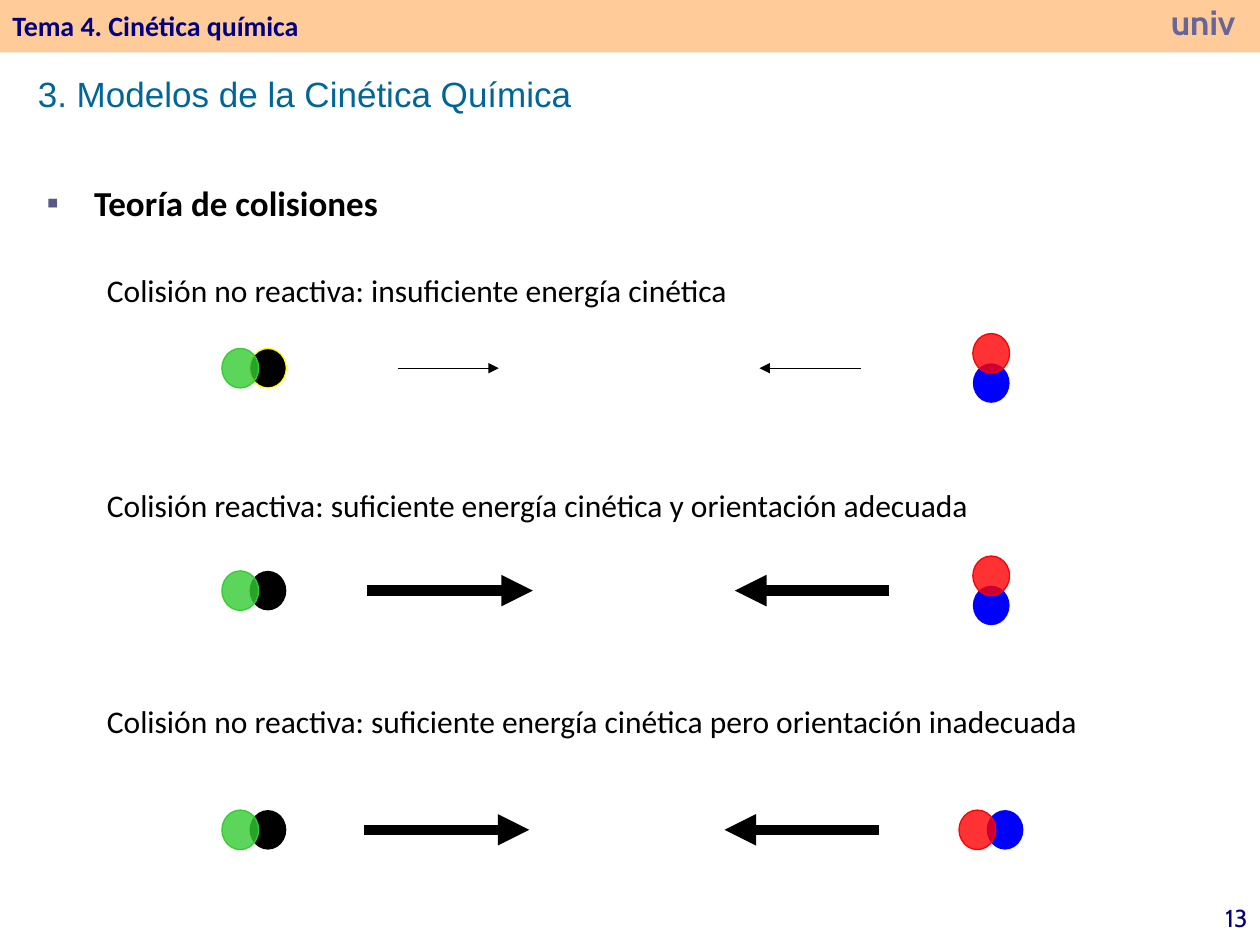
from lxml import etree
from pptx import Presentation
from pptx.dml.color import RGBColor
from pptx.enum import shapes, text
from pptx.oxml import ns
from pptx.util import Pt

BLACK = RGBColor(0x00, 0x00, 0x00)
NAVY = RGBColor(0x00, 0x00, 0x80)
PEACH = RGBColor(0xFF, 0xCC, 0x99)
SLATE = RGBColor(0x66, 0x66, 0x99)
BULLET = RGBColor(0x59, 0x59, 0x85)
TEAL = RGBColor(0x00, 0x66, 0x99)
GREEN = RGBColor(0x33, 0xCC, 0x33)
RED = RGBColor(0xFF, 0x00, 0x00)
BLUE = RGBColor(0x00, 0x00, 0xFF)
YELLOW = RGBColor(0xFF, 0xFF, 0x00)

ATOM_WIDTH, ATOM_HEIGHT = 21, 22.6
LEFT_MOLECULE, RIGHT_MOLECULE = 145.2, 566.4
CAPTION_TOP, CAPTION_STEP = 151.2, 123.1

COLLISIONS = [
    ("Colisión no reactiva: insuficiente energía cinética",
     210.4, 0.75, (227.5, 285), (492, 434), True, YELLOW),
    ("Colisión reactiva: suficiente energía cinética y orientación adecuada",
     337.5, 6, (210, 304.5), (508, 420), True, None),
    ("Colisión no reactiva: suficiente energía cinética pero orientación inadecuada",
     474.2, 6, (208, 302.5), (502.5, 414), False, None),
]


def place(shape, left, top, width, height):
    shape.left, shape.top = Pt(left), Pt(top)
    shape.width, shape.height = Pt(width), Pt(height)


def write(shape, words, size, font, color, bold=False,
          align=text.PP_ALIGN.LEFT, anchor=text.MSO_ANCHOR.TOP):
    frame = shape.text_frame
    frame.word_wrap = True
    frame.auto_size = text.MSO_AUTO_SIZE.NONE
    frame.vertical_anchor = anchor
    para = frame.paragraphs[0]
    para.alignment = align
    span = para.add_run()
    span.text = words
    span.font.size = Pt(size)
    span.font.name = font
    span.font.bold = bold
    span.font.color.rgb = color
    return para


def add_label(page, bounds, words, size, font, color, margin=None, **style):
    box = page.shapes.add_textbox(*map(Pt, bounds))
    write(box, words, size, font, color, **style)
    if margin is not None:
        frame = box.text_frame
        frame.margin_left = frame.margin_right = Pt(margin)
        frame.margin_top = frame.margin_bottom = Pt(margin)


def add_bullet(para, indent):
    properties = para._p.get_or_add_pPr()
    properties.set("marL", str(Pt(indent)))
    properties.set("indent", str(-Pt(indent)))
    color = etree.SubElement(properties, ns.qn("a:buClr"))
    etree.SubElement(color, ns.qn("a:srgbClr"), val=str(BULLET))
    etree.SubElement(properties, ns.qn("a:buFont"), typeface="Arial")
    etree.SubElement(properties, ns.qn("a:buChar"), char="▪")


def add_filled(parent, kind, bounds, fill, line=None):
    shape = parent.shapes.add_shape(kind, *map(Pt, bounds))
    shape.shadow.inherit = False
    shape.fill.solid()
    shape.fill.fore_color.rgb = fill
    if line is None:
        shape.line.fill.background()
    else:
        shape.line.color.rgb = line
        shape.line.width = Pt(0.75)
    return shape


def add_atom(group, x, y, fill, line=None, opacity=None):
    bounds = (x - ATOM_WIDTH / 2, y - ATOM_HEIGHT / 2, ATOM_WIDTH, ATOM_HEIGHT)
    atom = add_filled(group, shapes.MSO_SHAPE.OVAL, bounds, fill, line)
    if opacity:
        color = atom._element.spPr.find(ns.qn("a:solidFill"))[0]
        etree.SubElement(color, ns.qn("a:alpha"), val=str(opacity * 1000))


def add_molecule(page, x, y, back, front, vertical=False, outline=None):
    dx, dy = (0, 8.5) if vertical else (7.9, 0)
    group = page.shapes.add_group_shape()
    add_atom(group, x + dx, y + dy, back, outline)
    add_atom(group, x - dx, y - dy, front, front, 80)


def add_arrow(page, start, end, y, width):
    arrow = page.shapes.add_connector(
        shapes.MSO_CONNECTOR.STRAIGHT, Pt(start), Pt(y), Pt(end), Pt(y))
    arrow.line.color.rgb = BLACK
    arrow.line.width = Pt(width)
    etree.SubElement(arrow.line._get_or_add_ln(), ns.qn("a:tailEnd"), type="triangle")
    etree.SubElement(arrow._element.spPr, ns.qn("a:effectLst"))


def add_collision(page, row, collision):
    caption, y, width, rightward, leftward, vertical, outline = collision
    top = CAPTION_TOP + row * CAPTION_STEP
    add_label(page, (54, top, 600, 29), caption, 18, "Calibri", BLACK)
    add_molecule(page, LEFT_MOLECULE, y, BLACK, GREEN, outline=outline)
    add_molecule(page, RIGHT_MOLECULE, y, BLUE, RED, vertical)
    for start, end in (rightward, leftward):
        add_arrow(page, start, end, y, width)


def main():
    deck = Presentation()
    deck.slide_width, deck.slide_height = Pt(720), Pt(540)
    page = deck.slides.add_slide(deck.slide_layouts[1])
    middle = text.MSO_ANCHOR.MIDDLE

    title, body = page.shapes.title, page.placeholders[1]
    place(title, 14.4, 37.5, 546.5, 31.7)
    write(title, "3. Modelos de la Cinética Química", 20, "Arial", TEAL, anchor=middle)
    place(body, 19.5, 100, 345.5, 34)
    heading = write(body, "Teoría de colisiones", 20, "Calibri", BLACK, bold=True)
    heading.space_before = Pt(4)
    add_bullet(heading, 27)

    add_filled(page, shapes.MSO_SHAPE.RECTANGLE, (0, 0, 720, 30), PEACH)
    add_label(page, (0, 0, 522, 29), "Tema 4. Cinética química", 16, "Calibri", NAVY,
              bold=True, anchor=middle)
    add_label(page, (655, 0, 65, 24), "univ", 20, "Cabin", SLATE, margin=0,
              bold=True, align=text.PP_ALIGN.CENTER)
    add_label(page, (672, 508.5, 48, 31.5), "13", 14, "Cabin", NAVY,
              align=text.PP_ALIGN.RIGHT, anchor=middle)

    for row, collision in enumerate(COLLISIONS):
        add_collision(page, row, collision)
    deck.save("out.pptx")


if __name__ == "__main__":
    main()
